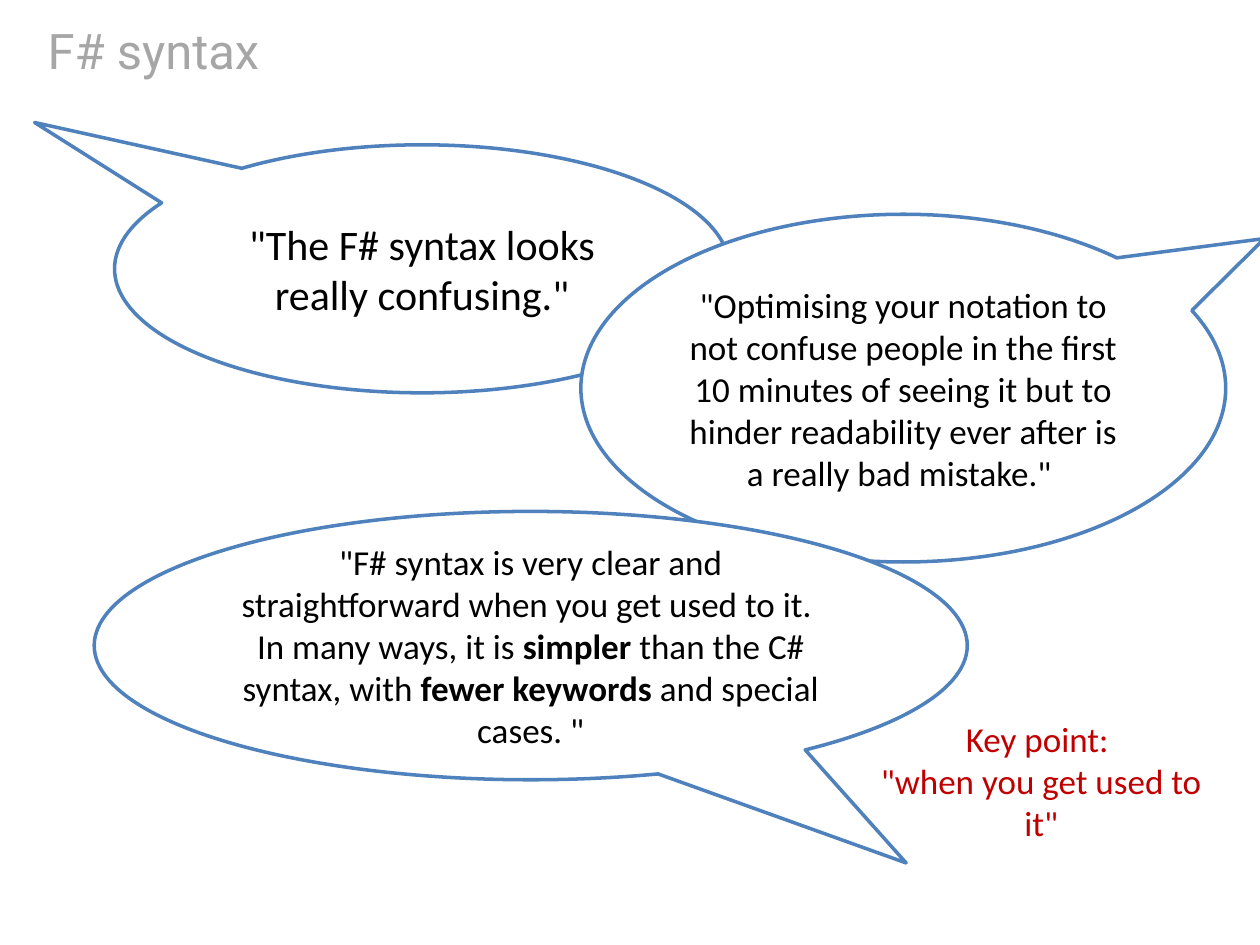
from pptx import Presentation
from pptx.dml.color import RGBColor
from pptx.enum.shapes import MSO_SHAPE
from pptx.enum.text import MSO_ANCHOR, PP_ALIGN
from pptx.util import Cm, Pt

CALLOUT = MSO_SHAPE.OVAL_CALLOUT
MIDDLE, TOP = MSO_ANCHOR.MIDDLE, MSO_ANCHOR.TOP
LEFT, CENTER = PP_ALIGN.LEFT, PP_ALIGN.CENTER

WHITE = RGBColor(0xFF, 0xFF, 0xFF)
BLACK = RGBColor(0x00, 0x00, 0x00)
GRAY = RGBColor(0xA6, 0xA6, 0xA6)
BLUE = RGBColor(0x4F, 0x81, 0xBD)
RED = RGBColor(0xC0, 0x00, 0x00)


class SlideBuilder:
    heading_font = "Roboto"
    body_font = "Calibri"

    def __init__(self, slide):
        self.slide = slide

    def set_text(self, shape, runs, size, color, font, align, anchor):
        """Fill a shape with one paragraph of (text, bold) runs."""
        frame = shape.text_frame
        frame.word_wrap = True
        frame.vertical_anchor = anchor
        paragraph = frame.paragraphs[0]
        paragraph.alignment = align
        paragraph.font.name = font
        paragraph.font.size = Pt(size)
        paragraph.font.color.rgb = color
        for text, bold in runs:
            for index, line in enumerate(text.split("\n")):
                if index:
                    paragraph.add_line_break()
                run = paragraph.add_run()
                run.text = line
                if bold:
                    run.font.bold = True

    def text_box(self, box, text, size, color, font=body_font,
                 align=CENTER, anchor=TOP):
        shape = self.slide.shapes.add_textbox(*map(Cm, box))
        self.set_text(shape, [(text, False)], size, color, font, align, anchor)

    def speech_bubble(self, box, tail, runs, size):
        shape = self.slide.shapes.add_shape(CALLOUT, *map(Cm, box))
        shape.adjustments[0], shape.adjustments[1] = tail
        shape.shadow.inherit = False
        shape.fill.solid()
        shape.fill.fore_color.rgb = WHITE
        shape.line.color.rgb = BLUE
        shape.line.width = Pt(2)
        self.set_text(shape, runs, size, BLACK, self.body_font, CENTER, MIDDLE)


presentation = Presentation()
presentation.slide_width = Cm(25.4)
presentation.slide_height = Cm(19.05)
slide = presentation.slides.add_slide(presentation.slide_layouts[6])
builder = SlideBuilder(slide)

# Title
builder.text_box((0.71, 0.33, 24, 1.37), "F# syntax", 28, GRAY,
                 SlideBuilder.heading_font, LEFT, MIDDLE)

# Opinions
builder.speech_bubble(
    (2.31, 2.92, 12.4, 5), (-0.63, -0.59),
    [('"The F# syntax looks really confusing."', False)], 24)
builder.speech_bubble(
    (11.71, 4.32, 13, 7.01), (0.56, -0.43),
    [('"Optimising your notation to not confuse people in the first '
      '10 minutes of seeing it but to hinder readability ever after is '
      'a really bad mistake."\u00a0', False)], 20)
builder.speech_bubble(
    (1.9, 10.31, 17.6, 5.41), (0.43, 0.81),
    [('"F# syntax is very clear and straightforward when you get used '
      'to it. \nIn many ways, it is ', False),
     ("simpler ", True),
     ("than the C# syntax, with ", False),
     ("fewer keywords ", True),
     ('and special cases.\u00a0"', False)], 20)

# Key point
builder.text_box((17.09, 14.33, 7.8, 1.96),
                 'Key point: \n"when you get used to it"', 20, RED)

presentation.save("out.pptx")
